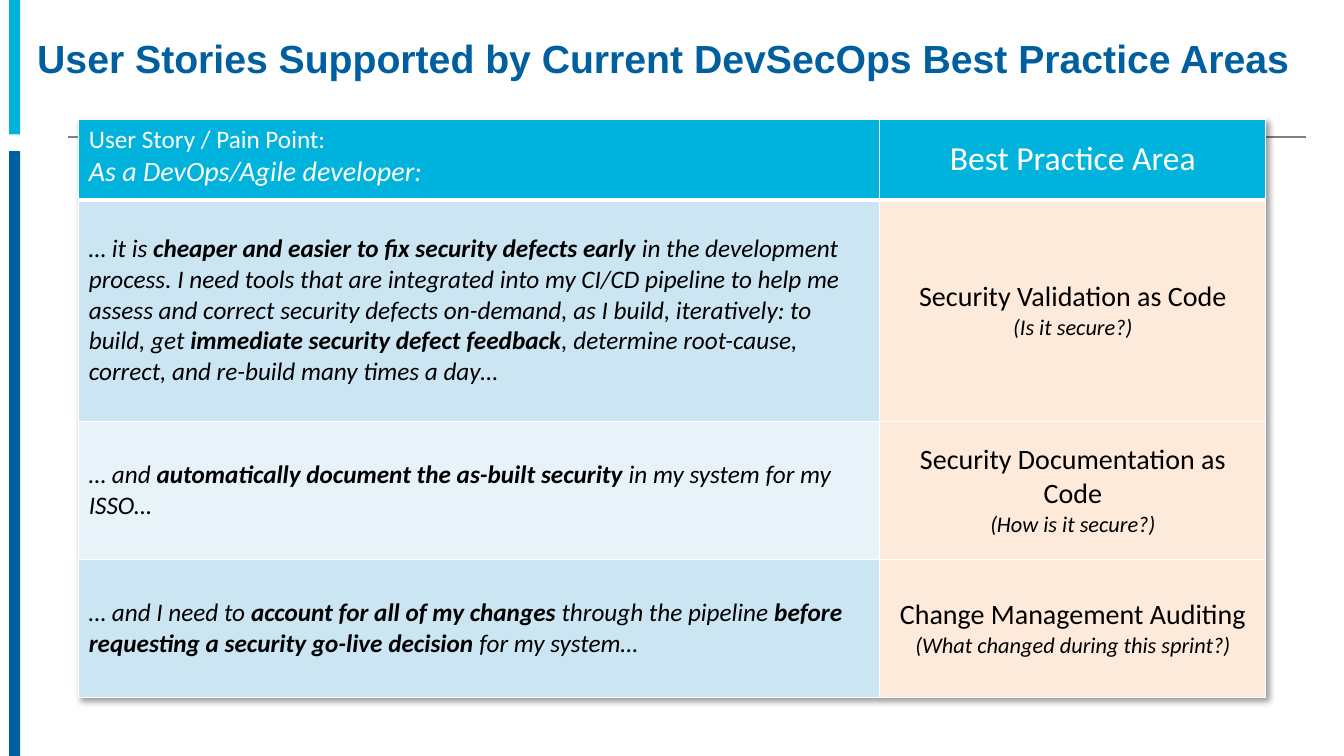
"""Build a slide that maps developer user stories to DevSecOps best practice areas."""
from dataclasses import dataclass

import lxml.etree
import pptx
import pptx.dml.color
import pptx.enum.shapes
import pptx.enum.text
import pptx.oxml
import pptx.oxml.ns
import pptx.util

TITLE = "User Stories Supported by Current DevSecOps Best Practice Areas"
HEADER = ("User Story / Pain Point:", "As a DevOps/Agile developer:", "Best Practice Area")
STORIES = [
    (
        [
            ("… it is ", False),
            ("cheaper and easier to fix security defects early", True),
            (" in the development process. I need tools that are integrated into my CI/CD "
             "pipeline to help me assess and correct security defects on-demand, as I build, "
             "iteratively: to build, get ", False),
            ("immediate security defect feedback", True),
            (", determine root-cause, correct, and re-build many times a day…", False),
        ],
        "Security Validation as Code",
        "(Is it secure?)",
    ),
    (
        [
            ("… and ", False),
            ("automatically document the as-built security", True),
            (" in my system for my ISSO…", False),
        ],
        "Security Documentation as Code",
        "(How is it secure?)",
    ),
    (
        [
            ("… and I need to ", False),
            ("account for all of my changes", True),
            (" through the pipeline ", False),
            ("before requesting a security go-live decision", True),
            (" for my system…", False),
        ],
        "Change Management Auditing",
        "(What changed during this sprint?)",
    ),
]


@dataclass(frozen=True)
class Theme:
    title_font: str = "Arial"
    body_font: str = "Calibri"
    navy: str = "005F9E"
    cyan: str = "00B3DC"
    rule: str = "808080"
    white: str = "FFFFFF"
    black: str = "000000"
    story_bands: tuple = ("CCE5F2", "E7F2F9")
    area: str = "FDEADA"
    title_size: int = 28
    heading_size: int = 24
    area_size: int = 20
    story_size: int = 18
    question_size: int = 16


THEME = Theme()
SLIDE_WIDTH, SLIDE_HEIGHT = 960, 540
BARS = [(0, 96, THEME.cyan), (108, 432, THEME.navy)]
TABLE_LEFT, TABLE_TOP = 56.3, 85
COLUMN_WIDTHS = (572.2, 275.7)
ROW_HEIGHTS = (57.6, 158.4, 98.6, 98.6)
LEFT = pptx.enum.text.PP_ALIGN.LEFT
CENTER = pptx.enum.text.PP_ALIGN.CENTER
TOP = pptx.enum.text.MSO_ANCHOR.TOP
MIDDLE = pptx.enum.text.MSO_ANCHOR.MIDDLE


def points(*values):
    return [pptx.util.Pt(value) for value in values]


def rgb(value):
    return pptx.dml.color.RGBColor.from_string(value)


def add_bars_and_rule(page):
    for top, height, color in BARS:
        bar = page.shapes.add_shape(
            pptx.enum.shapes.MSO_SHAPE.RECTANGLE, *points(6.5, top, 8, height))
        bar.shadow.inherit = False
        bar.fill.solid()
        bar.fill.fore_color.rgb = rgb(color)
        bar.line.fill.background()
    rule = page.shapes.add_connector(
        pptx.enum.shapes.MSO_CONNECTOR.STRAIGHT, *points(48.5, 98, 933, 98))
    rule.line.color.rgb = rgb(THEME.rule)
    rule.line.width = pptx.util.Pt(1)
    lxml.etree.SubElement(
        rule.element.find(pptx.oxml.ns.qn("p:spPr")), pptx.oxml.ns.qn("a:effectLst"))


def format_title(page):
    title = page.shapes.title
    title.left, title.top, title.width, title.height = points(19.4, 21.6, 913, 43.2)
    frame = title.text_frame
    frame.text = TITLE
    frame.word_wrap = True
    frame.auto_size = pptx.enum.text.MSO_AUTO_SIZE.NONE
    frame.vertical_anchor = MIDDLE
    para = frame.paragraphs[0]
    para.alignment = LEFT
    para.line_spacing = 0.9
    para.font.name = THEME.title_font
    para.font.size = pptx.util.Pt(THEME.title_size)
    para.font.bold = True
    para.font.color.rgb = rgb(THEME.navy)


def add_borders(cell, bottom_width):
    properties = cell._tc.get_or_add_tcPr()
    widths = {"lnL": 1, "lnR": 1, "lnT": 1, "lnB": bottom_width}
    for position, (side, width) in enumerate(widths.items()):
        properties.insert(position, pptx.oxml.parse_xml(
            f'<a:{side} {pptx.oxml.ns.nsdecls("a")} w="{pptx.util.Pt(width)}">'
            f'<a:solidFill><a:srgbClr val="{THEME.white}"/></a:solidFill></a:{side}>'))


def fill_cell(cell, lines, fill, color, alignment, anchor=MIDDLE, bottom_width=1):
    cell.fill.solid()
    cell.fill.fore_color.rgb = rgb(fill)
    cell.vertical_anchor = anchor
    add_borders(cell, bottom_width)
    frame = cell.text_frame
    for index, (runs, size, italic) in enumerate(lines):
        para = frame.add_paragraph() if index else frame.paragraphs[0]
        para.alignment = alignment
        para.font.name = THEME.body_font
        para.font.size = pptx.util.Pt(size)
        para.font.italic = italic
        para.font.color.rgb = rgb(color)
        for text, bold in runs:
            span = para.add_run()
            span.text = text
            span.font.bold = bold


def add_story_table(page):
    frame = page.shapes.add_table(
        len(ROW_HEIGHTS), len(COLUMN_WIDTHS),
        *points(TABLE_LEFT, TABLE_TOP, sum(COLUMN_WIDTHS), sum(ROW_HEIGHTS)))
    table = frame.table
    table.first_row = table.horz_banding = False
    for column, width in zip(table.columns, COLUMN_WIDTHS):
        column.width = pptx.util.Pt(width)
    for row, height in zip(table.rows, ROW_HEIGHTS):
        row.height = pptx.util.Pt(height)
    table._tbl.tblPr.insert(0, pptx.oxml.parse_xml(
        f'<a:effectLst {pptx.oxml.ns.nsdecls("a")}>'
        f'<a:outerShdw blurRad="{pptx.util.Pt(4)}" dist="{pptx.util.Pt(3)}" dir="2700000" '
        f'algn="tl" rotWithShape="0"><a:srgbClr val="{THEME.black}"><a:alpha val="40000"/>'
        '</a:srgbClr></a:outerShdw></a:effectLst>'))

    story, developer, area = HEADER
    fill_cell(table.cell(0, 0),
              [([(story, False)], THEME.story_size, False),
               ([(developer, False)], THEME.area_size, True)],
              THEME.cyan, THEME.white, LEFT, TOP, 3)
    fill_cell(table.cell(0, 1), [([(area, False)], THEME.heading_size, False)],
              THEME.cyan, THEME.white, CENTER, bottom_width=3)
    for index, (runs, area, question) in enumerate(STORIES):
        band = THEME.story_bands[index % len(THEME.story_bands)]
        fill_cell(table.cell(index + 1, 0), [(runs, THEME.story_size, True)],
                  band, THEME.black, LEFT)
        fill_cell(table.cell(index + 1, 1),
                  [([(area, False)], THEME.area_size, False),
                   ([(question, False)], THEME.question_size, True)],
                  THEME.area, THEME.black, CENTER)


def main():
    deck = pptx.Presentation()
    deck.slide_width, deck.slide_height = points(SLIDE_WIDTH, SLIDE_HEIGHT)
    page = deck.slides.add_slide(deck.slide_layouts.get_by_name("Title Only"))
    add_bars_and_rule(page)
    format_title(page)
    add_story_table(page)
    deck.save("out.pptx")


if __name__ == "__main__":
    main()
